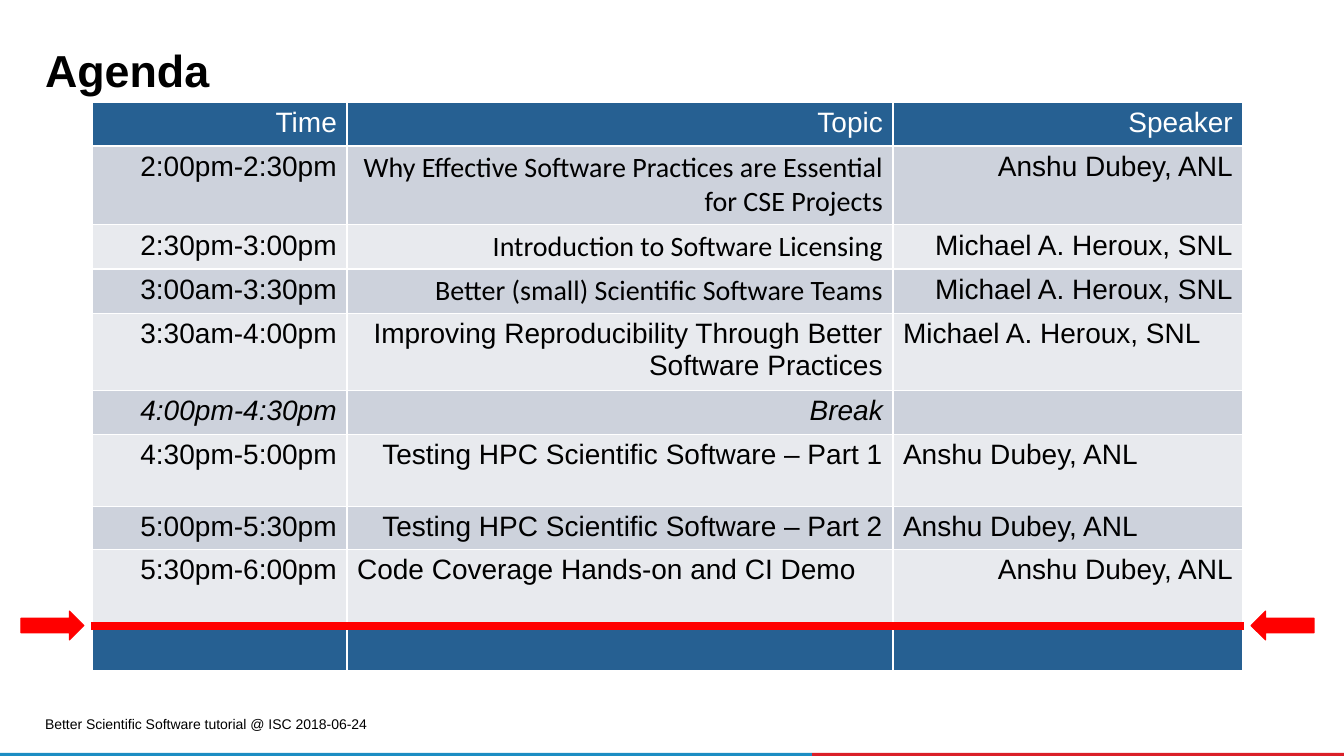
"""Build the agenda slide with its timetable and end marker."""
from lxml import etree
from pptx import Presentation, util as u
from pptx.dml.color import RGBColor
from pptx.enum import shapes, text

SCALE = 914400 / 100.8
HUES = {"black": "000000", "white": "FFFFFF", "head": "266092", "dark": "CDD2DC",
        "light": "E8EAEE", "red": "FF0000", "blue": "1B8DC3", "rose": "DA1F28"}
ROWS = [
    (44, "Time", "Topic", "Speaker"),
    (77, "2:00pm-2:30pm", "Why Effective Software Practices are Essential for CSE Projects",
     "Anshu Dubey, ANL"),
    (44, "2:30pm-3:00pm", "Introduction to Software Licensing", "Michael A. Heroux, SNL"),
    (44, "3:00am-3:30pm", "Better (small) Scientific Software Teams", "Michael A. Heroux, SNL"),
    (77, "3:30am-4:00pm", "Improving Reproducibility Through Better Software Practices",
     "Michael A. Heroux, SNL"),
    (44, "4:00pm-4:30pm", "Break", ""),
    (72, "4:30pm-5:00pm", "Testing HPC Scientific Software – Part 1", "Anshu Dubey, ANL"),
    (43, "5:00pm-5:30pm", "Testing HPC Scientific Software – Part 2", "Anshu Dubey, ANL"),
    (76, "5:30pm-6:00pm", "Code Coverage Hands-on and CI Demo", "Anshu Dubey, ANL"),
    (45, "", "", ""),
]
COLS = [255, 546, 350]
LEFT = {(4, 2), (6, 2), (7, 2), (8, 1)}
BREAK, LAST = 5, len(ROWS) - 1


def px(*vals):
    return [u.Emu(round(v * SCALE)) for v in vals]


def write(frame, words, size, hue="black", face="Arial", bold=False):
    frame.text = words
    frame.word_wrap = True
    font = frame.paragraphs[0].font
    font.size, font.name, font.bold = u.Pt(size), face, bold
    font.color.rgb = RGBColor.from_string(HUES[hue])
    return frame.paragraphs[0]


deck = Presentation()
deck.slide_width, deck.slide_height = px(1344, 756)
slide = deck.slides.add_slide(deck.slide_layouts[5])
items = slide.shapes

title = items.title
title.left, title.top, title.width, title.height = px(40, 45, 1254, 57)
foot = items.add_textbox(*px(40, 710, 473, 27))
head = write(title.text_frame, "Agenda", 32, bold=True)
head.alignment, head.line_spacing = text.PP_ALIGN.LEFT, 0.85
write(foot.text_frame, "Better Scientific Software tutorial @ ISC 2018-06-24", 10)
for box, anchor in ((title, text.MSO_ANCHOR.BOTTOM), (foot, text.MSO_ANCHOR.MIDDLE)):
    frame = box.text_frame
    frame.vertical_anchor = anchor
    frame.auto_size = text.MSO_AUTO_SIZE.NONE
    frame.margin_left, frame.margin_top, frame.margin_right, frame.margin_bottom = px(5, 5, 5, 5)

table = items.add_table(len(ROWS), len(COLS),
                        *px(92, 102, sum(COLS), sum(row[0] for row in ROWS))).table
table.last_row = True
for col, wide in zip(table.columns, px(*COLS)):
    col.width = wide
for r, (high, *words) in enumerate(ROWS):
    table.rows[r].height = px(high)[0]
    edge = r in (0, LAST)
    for c, word in enumerate(words):
        cell = table.cell(r, c)
        cell.fill.solid()
        tone = "head" if edge else "dark" if r % 2 else "light"
        cell.fill.fore_color.rgb = RGBColor.from_string(HUES[tone])
        face = "Calibri" if c == 1 and r in (1, 2, 3) else "Arial"
        para = write(cell.text_frame, word, 20, "white" if edge else "black", face)
        para.alignment = text.PP_ALIGN.LEFT if (r, c) in LEFT else text.PP_ALIGN.RIGHT
        para.font.italic = r == BREAK

line = items.add_connector(shapes.MSO_CONNECTOR.STRAIGHT, *px(91, 626, 1244, 626))
line.line.color.rgb = RGBColor.from_string(HUES["red"])
line.line.width = u.Pt(6)
etree.SubElement(line._element.spPr,
                 "{http://schemas.openxmlformats.org/drawingml/2006/main}effectLst")

BAR, ARROW = shapes.MSO_SHAPE.RECTANGLE, shapes.MSO_SHAPE.RIGHT_ARROW
for kind, hue, turn, *place in (
        (BAR, "rose", 0, 812, 753, 532, 3),
        (BAR, "blue", 0, 0, 753, 812, 3),
        (ARROW, "red", 0, 21, 611, 63, 29),
        (ARROW, "red", 180, 1251, 611, 63, 29)):
    mark = items.add_shape(kind, *px(*place))
    mark.shadow.inherit = False
    mark.rotation = turn
    mark.fill.solid()
    mark.fill.fore_color.rgb = RGBColor.from_string(HUES[hue])
    if kind == ARROW:
        mark.line.color.rgb = RGBColor.from_string(HUES[hue])
        mark.line.width = u.Pt(0.75)
    else:
        mark.line.fill.background()

deck.save("out.pptx")
